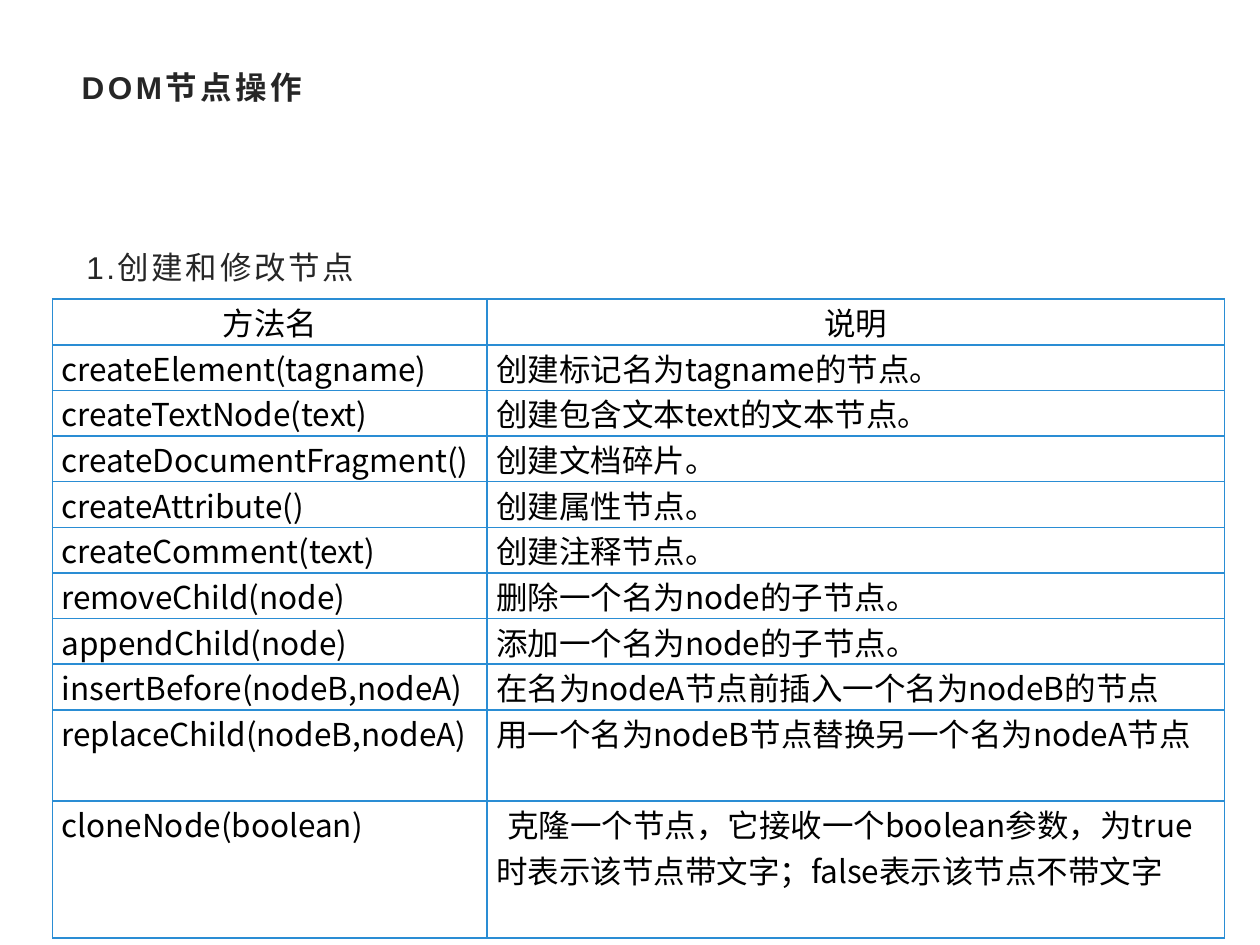
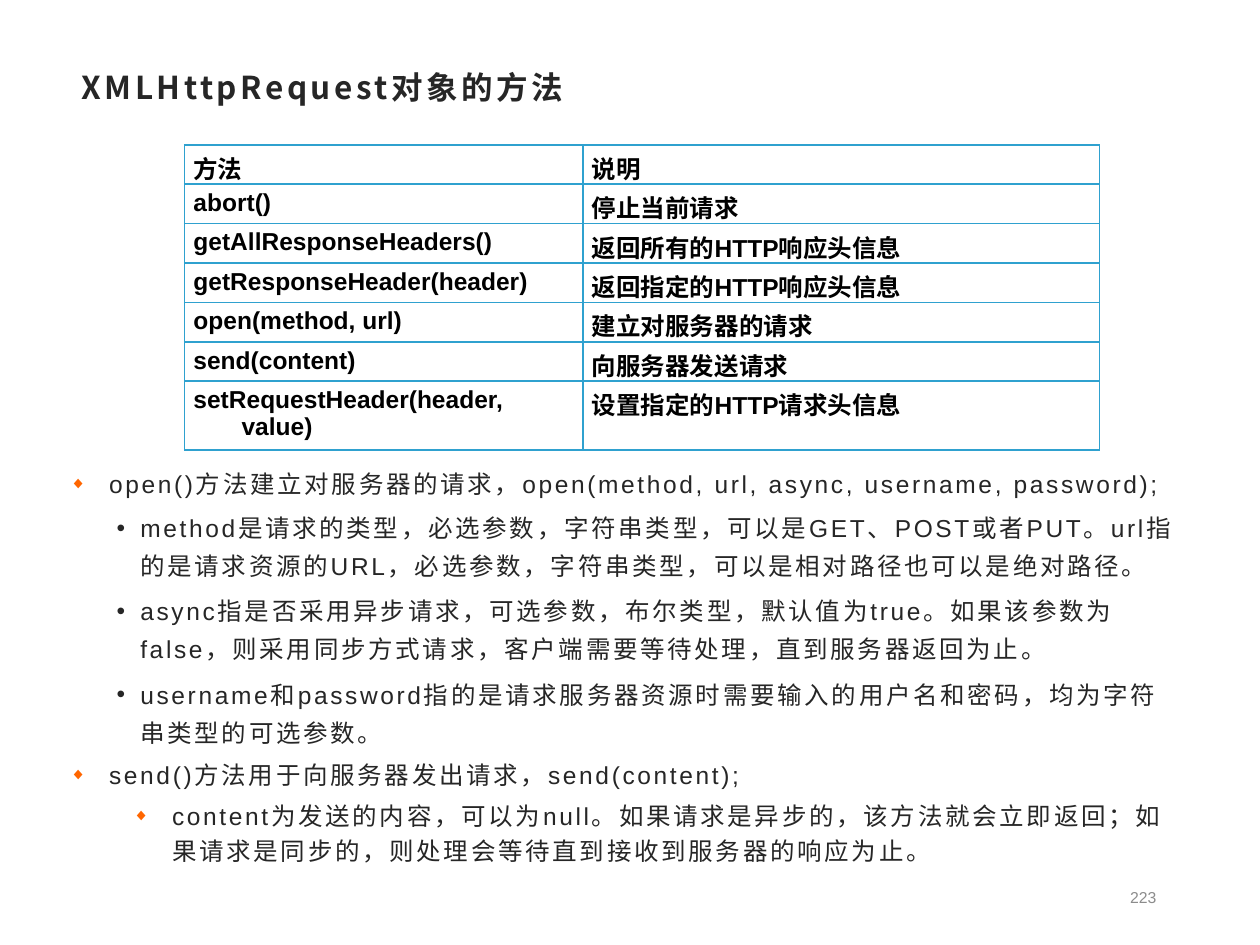
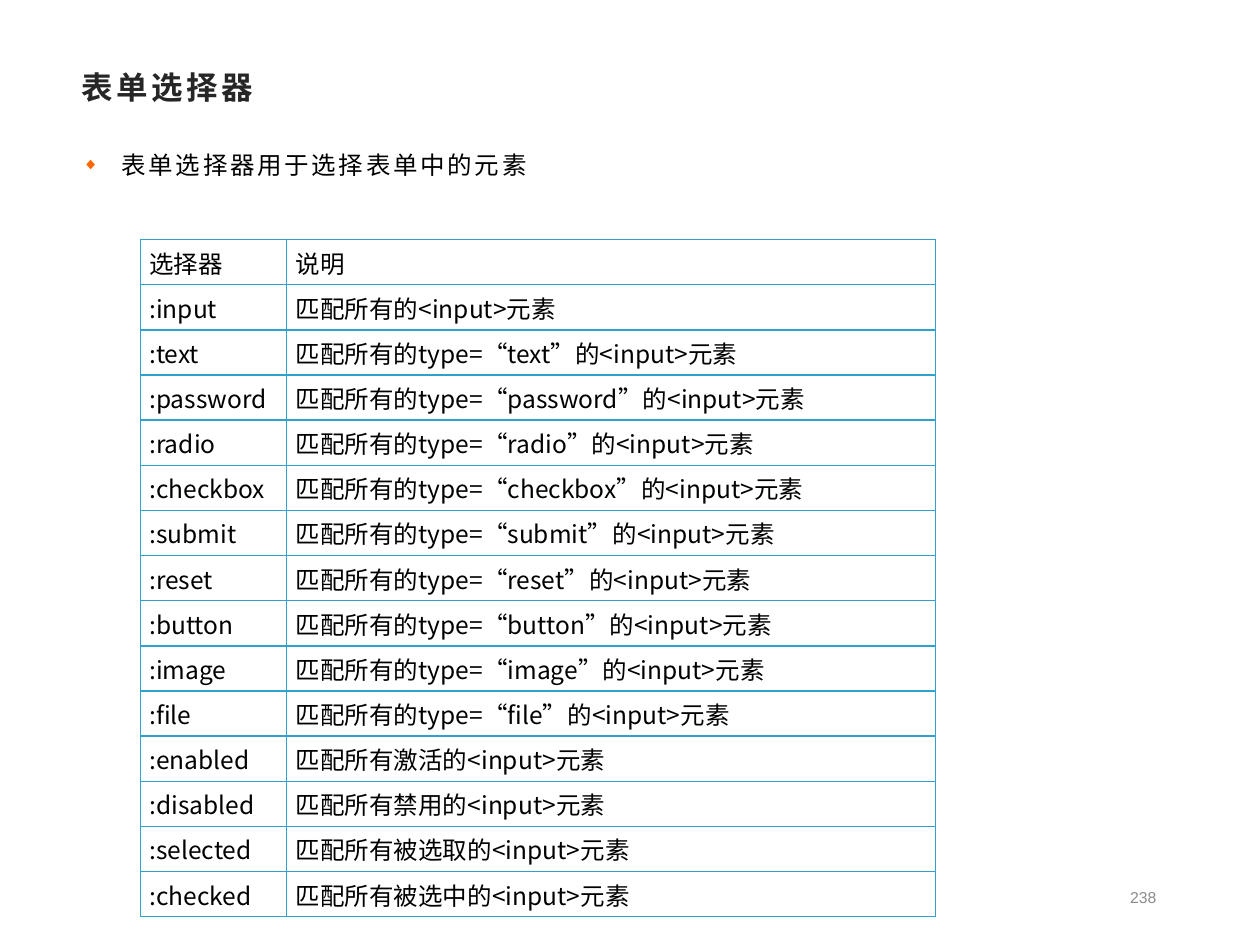
from lxml.etree import SubElement
from pptx import Presentation
from pptx.dml.color import RGBColor
from pptx.enum.text import MSO_ANCHOR as Anchor, MSO_AUTO_SIZE as AutoSize, PP_ALIGN as Align
from pptx.oxml.ns import qn
from pptx.util import Cm, Pt

ARIAL, NOTO = "Arial", "Noto Sans CJK SC"
INK, BLACK, GREY, ORANGE = "262626", "000000", "8C8C8C", "FF6600"

TITLE = dict(face=ARIAL, size=18, color=INK, bold=True, tracking=2)
NOTO_TITLE = {**TITLE, "face": NOTO}
HEADING = dict(face=ARIAL, size=18, color=INK, tracking=1.5)
BODY = {**HEADING, "size": 14}
NOTO_BODY = {**BODY, "face": NOTO, "color": BLACK}
NUMBER = dict(face=ARIAL, size=9, color=GREY)

DIAMOND = ("◆", ORANGE, 68)
DOT = ("•", None, None)
NUMBERED = dict(left=0.48, first=-0.48, format=dict(line_spacing=1.3, space_after=Pt(10)))
TOP = dict(left=0.79, first=-0.79, bullet=DIAMOND, format=dict(line_spacing=1.2, space_after=Pt(3)))
DETAIL = dict(left=1.42, first=-0.48, bullet=DOT,
              format=dict(level=1, line_spacing=1.3, space_after=Pt(4)))
NESTED = dict(left=2.06, first=-0.79, bullet=DIAMOND,
              format=dict(level=1, line_spacing=1.2, space_after=Pt(3)))
HANGING = dict(left=0.97, first=-0.97)
CENTERED = dict(format=dict(alignment=Align.CENTER))
INDENTED = dict(left=0, first=0.23)

NODE_METHODS = [
    ("方法名", "说明"),
    ("createElement(tagname)", "创建标记名为tagname的节点。"),
    ("createTextNode(text)", "创建包含文本text的文本节点。"),
    ("createDocumentFragment()", "创建文档碎片。"),
    ("createAttribute()", "创建属性节点。"),
    ("createComment(text)", "创建注释节点。"),
    ("removeChild(node)", "删除一个名为node的子节点。"),
    ("appendChild(node)", "添加一个名为node的子节点。"),
    ("insertBefore(nodeB,nodeA)", "在名为nodeA节点前插入一个名为nodeB的节点"),
    ("replaceChild(nodeB,nodeA)", "用一个名为nodeB节点替换另一个名为nodeA节点"),
    ("cloneNode(boolean)",
     "克隆一个节点，它接收一个boolean参数，为true时表示该节点带文字；false表示该节点不带文字"),
]
REQUEST_METHODS = [
    ("方法", "说明"),
    ("abort()", "停止当前请求"),
    ("getAllResponseHeaders()", "返回所有的HTTP响应头信息"),
    ("getResponseHeader(header)", "返回指定的HTTP响应头信息"),
    ("open(method, url)", "建立对服务器的请求"),
    ("send(content)", "向服务器发送请求"),
    ("setRequestHeader(header, value)", "设置指定的HTTP请求头信息"),
]
INPUT_TYPES = ["text", "password", "radio", "checkbox", "submit", "reset", "button", "image", "file"]
INPUT_STATES = [("enabled", "激活"), ("disabled", "禁用"), ("selected", "被选取"), ("checked", "被选中")]
SELECTORS = [
    ("选择器", "说明"),
    (":input", "匹配所有的<input>元素"),
    *[(f":{kind}", f"匹配所有的type=“{kind}”的<input>元素") for kind in INPUT_TYPES],
    *[(f":{state}", f"匹配所有{label}的<input>元素") for state, label in INPUT_STATES],
]

SLIDES = [
    dict(
        title=("DOM节点操作", TITLE),
        body=dict(box=(1.49, 4.64, 23.55, 0.91), style=HEADING,
                  lines=[("1.创建和修改节点", NUMBERED)]),
        table=dict(corner=(1.06, 6.03), columns=(8.76, 14.86), heights=[0.92] * 9 + [1.84, 2.76],
                   rows=NODE_METHODS, border="2A8DD4",
                   padding=0, style=dict(face=NOTO, size=18, color=BLACK), layout={},
                   exceptions={(0, 0): CENTERED, (0, 1): CENTERED, (10, 1): INDENTED}),
    ),
    dict(
        title=("XMLHttpRequest对象的方法", NOTO_TITLE),
        body=dict(box=(1.16, 9.22, 22.86, 8.43), style=BODY, lines=[
            ("open()方法建立对服务器的请求，open(method, url, async, username, password);", TOP),
            ("method是请求的类型，必选参数，字符串类型，可以是GET、POST或者PUT。"
             "url指的是请求资源的URL，必选参数，字符串类型，可以是相对路径也可以是绝对路径。", DETAIL),
            ("async指是否采用异步请求，可选参数，布尔类型，默认值为true。"
             "如果该参数为false，则采用同步方式请求，客户端需要等待处理，直到服务器返回为止。", DETAIL),
            ("username和password指的是请求服务器资源时需要输入的用户名和密码，"
             "均为字符串类型的可选参数。", DETAIL),
            ("send()方法用于向服务器发出请求，send(content);", TOP),
            ("content为发送的内容，可以为null。如果请求是异步的，该方法就会立即返回；"
             "如果请求是同步的，则处理会等待直到接收到服务器的响应为止。", NESTED),
        ]),
        table=dict(corner=(3.72, 2.92), columns=(8.03, 10.41), heights=[0.78] * 6 + [1.39],
                   rows=REQUEST_METHODS, border="2FA1CF",
                   padding=0.1, style=dict(face=ARIAL, size=14, color=BLACK, bold=True), layout=HANGING),
        number="223",
    ),
    dict(
        title=("表单选择器", TITLE),
        body=dict(box=(1.41, 2.79, 19.61, 0.97), style=NOTO_BODY,
                  lines=[("表单选择器用于选择表单中的元素", TOP)]),
        table=dict(corner=(2.83, 4.83), columns=(2.95, 13.08), heights=[0.91] * len(SELECTORS),
                   rows=SELECTORS, border="2FA1CF",
                   padding=0.1, style=dict(face=NOTO, size=14, color=BLACK), layout=HANGING),
        number="238",
    ),
]


def rgb(code):
    """Turn a hex string into a colour."""
    return RGBColor.from_string(code)


def apply(target, values):
    """Set attributes from a dict."""
    for key, value in values.items():
        setattr(target, key, value)


def add_bullet(properties, mark, color, percent):
    """Add a bullet character with its colour and size."""
    if color:
        SubElement(SubElement(properties, qn("a:buClr")), qn("a:srgbClr"), val=color)
        SubElement(properties, qn("a:buSzPct"), val=str(percent * 1000))
    SubElement(properties, qn("a:buFont"), typeface=ARIAL)
    SubElement(properties, qn("a:buChar"), char=mark)


def write(paragraph, text, style, left=None, first=None, bullet=None, format=None):
    """Write one styled run into a paragraph with its indents and bullet."""
    properties = paragraph._p.get_or_add_pPr()
    if left is not None:
        properties.set("marL", str(Cm(left)))
        properties.set("indent", str(Cm(first)))
    if bullet:
        add_bullet(properties, *bullet)
    apply(paragraph, format or {})
    run = paragraph.add_run()
    run.text = text
    apply(run.font, dict(name=style["face"], size=Pt(style["size"]), bold=style.get("bold", False)))
    run.font.color.rgb = rgb(style["color"])
    characters = run._r.get_or_add_rPr()
    characters.set("lang", "zh-CN")
    characters.set("spc", str(int(style.get("tracking", 0) * 100)))
    SubElement(characters, qn("a:ea"), typeface=NOTO)


def add_text(slide, box, lines, style, anchor=Anchor.TOP):
    """Add a wrapping text box with one paragraph for each line."""
    frame = slide.shapes.add_textbox(*map(Cm, box)).text_frame
    apply(frame, dict(word_wrap=True, vertical_anchor=anchor))
    for index, (text, layout) in enumerate(lines):
        paragraph = frame.add_paragraph() if index else frame.paragraphs[0]
        write(paragraph, text, style, **layout)


def set_title(slide, text, style):
    """Place and fill the title."""
    title = slide.shapes.title
    apply(title, dict(left=Cm(1.39), top=Cm(1.14), width=Cm(22.61), height=Cm(1.22)))
    frame = title.text_frame
    apply(frame, dict(word_wrap=True, auto_size=AutoSize.NONE, vertical_anchor=Anchor.MIDDLE))
    write(frame.paragraphs[0], text, style, format=dict(alignment=Align.LEFT))


def frame_cell(cell, border, padding):
    """Give a cell its margins, borders and empty fill."""
    apply(cell, dict(margin_left=Cm(0.18), margin_right=Cm(0.18),
                     margin_top=Cm(padding), margin_bottom=Cm(padding)))
    properties = cell._tc.get_or_add_tcPr()
    for side in "LRTB":
        line = SubElement(properties, qn(f"a:ln{side}"), w=str(Pt(1)))
        SubElement(SubElement(line, qn("a:solidFill")), qn("a:srgbClr"), val=border)
    cell.fill.background()


def add_grid(slide, corner, columns, heights, rows, border, padding, style, layout, exceptions=None):
    """Add a bordered table with the given column widths and row heights."""
    size = map(Cm, (*corner, sum(columns), sum(heights)))
    table = slide.shapes.add_table(len(rows), len(columns), *size).table
    apply(table, dict(first_row=False, horz_banding=False))
    for column, width in zip(table.columns, columns):
        column.width = Cm(width)
    for y, (row, height) in enumerate(zip(rows, heights)):
        table.rows[y].height = Cm(height)
        for x, text in enumerate(row):
            cell = table.cell(y, x)
            frame_cell(cell, border, padding)
            write(cell.text_frame.paragraphs[0], text, style, **(exceptions or {}).get((y, x), layout))


def main():
    """Build the slides and save them."""
    deck = Presentation()
    apply(deck, dict(slide_width=Cm(25.4), slide_height=Cm(19.05)))
    for content in SLIDES:
        slide = deck.slides.add_slide(deck.slide_layouts[5])
        set_title(slide, *content["title"])
        add_text(slide, **content["body"])
        add_grid(slide, **content["table"])
        if "number" in content:
            right = dict(format=dict(alignment=Align.RIGHT))
            add_text(slide, (17.95, 17.65, 5.61, 0.89), [(content["number"], right)], NUMBER, Anchor.MIDDLE)
    deck.save("out.pptx")


if __name__ == "__main__":
    main()
